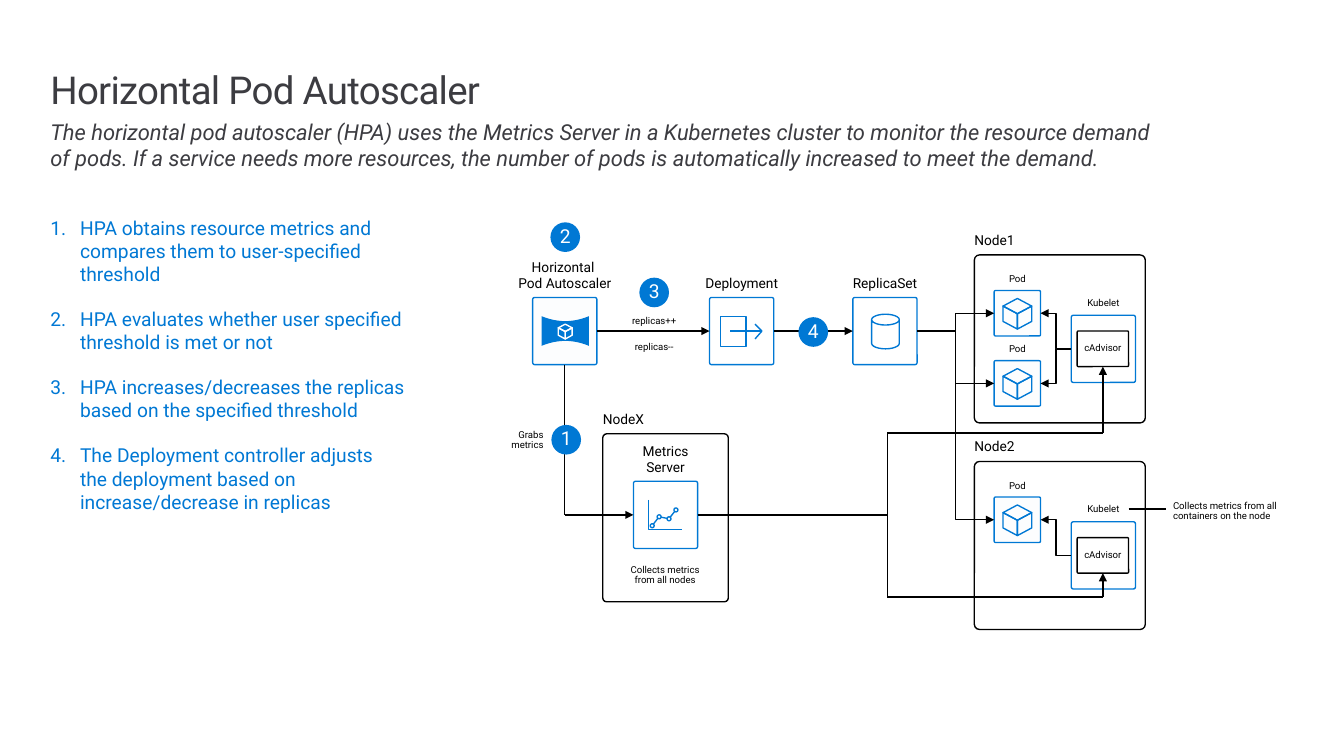
from itertools import pairwise

from lxml import etree
from pptx import Presentation
from pptx.dml.color import RGBColor
from pptx.enum.shapes import MSO_CONNECTOR, MSO_SHAPE
from pptx.enum.text import MSO_ANCHOR, MSO_AUTO_SIZE, PP_ALIGN
from pptx.oxml.ns import qn
from pptx.util import Inches, Pt

BLUE = RGBColor(0x00, 0x78, 0xD4)
BLACK = RGBColor(0x00, 0x00, 0x00)
WHITE = RGBColor(0xFF, 0xFF, 0xFF)
PALE = RGBColor(0xFC, 0xFD, 0xFE)
CHARCOAL = RGBColor(0x3C, 0x3C, 0x41)
FONT = "Roboto"
STRAIGHT, ELBOW = MSO_CONNECTOR.STRAIGHT, MSO_CONNECTOR.ELBOW
RECTANGLE, ROUNDED = MSO_SHAPE.RECTANGLE, MSO_SHAPE.ROUNDED_RECTANGLE
OVAL, CAN = MSO_SHAPE.OVAL, MSO_SHAPE.CAN
LEFT, CENTER, RIGHT = PP_ALIGN.LEFT, PP_ALIGN.CENTER, PP_ALIGN.RIGHT
ANCHOR_TOP, MIDDLE, BOTTOM = MSO_ANCHOR.TOP, MSO_ANCHOR.MIDDLE, MSO_ANCHOR.BOTTOM
NO_AUTOFIT = MSO_AUTO_SIZE.NONE
TOP_SIDE, LEFT_SIDE, BOTTOM_SIDE, RIGHT_SIDE = range(4)
TILE_WIDTH, TILE_HEIGHT = 0.65, 0.68
STEPS = [
    "HPA obtains resource metrics and compares them to user-specified threshold",
    "HPA evaluates whether user specified threshold is met or not",
    "HPA increases/decreases the replicas based on the specified threshold",
    "The Deployment controller adjusts \vthe deployment based on increase/decrease in replicas",
]


def place(shape, left, top, width, height):
    shape.left, shape.top = Inches(left), Inches(top)
    shape.width, shape.height = Inches(width), Inches(height)


def write(shape, text, size, color, align=LEFT, anchor=ANCHOR_TOP, spacing=1.0):
    frame = shape.text_frame
    frame.word_wrap = True
    frame.auto_size = NO_AUTOFIT
    frame.vertical_anchor = anchor
    frame.margin_left = frame.margin_right = frame.margin_top = frame.margin_bottom = 0
    frame.text = text
    for paragraph in frame.paragraphs:
        paragraph.alignment = align
        paragraph.line_spacing = spacing
        for run in paragraph.runs:
            run.font.name = FONT
            run.font.size = Pt(size)
            run.font.color.rgb = color
    return frame


def add_label(slide, left, top, width, height, text, size=10, align=LEFT, anchor=BOTTOM):
    box = slide.shapes.add_textbox(Inches(left), Inches(top), Inches(width), Inches(height))
    write(box, text, size, BLACK, align, anchor)


def add_note(slide, left, top, width, text, align=CENTER):
    box = slide.shapes.add_textbox(Inches(left), Inches(top), Inches(width), Inches(0.22))
    write(box, text, 7, BLACK, align, spacing=0.9)


def paint(shape, line=None, fill=None):
    shape.shadow.inherit = False
    if fill is None:
        shape.fill.background()
    else:
        shape.fill.solid()
        shape.fill.fore_color.rgb = fill
    if line is None:
        shape.line.fill.background()
    else:
        shape.line.color.rgb = line
        shape.line.width = Pt(1)


def add_box(slide, kind, left, top, width, height, line=None, fill=None):
    shape = slide.shapes.add_shape(
        kind, Inches(left), Inches(top), Inches(width), Inches(height))
    if kind == ROUNDED:
        shape.adjustments[0] = 0.031
    paint(shape, line, fill)
    return shape


def add_outline(slide, left, top, contours, line=None, fill=None, close=False):
    paths = [[(Inches(left + x), Inches(top + y)) for x, y in contour] for contour in contours]
    builder = slide.shapes.build_freeform(*paths[0][0])
    for index, points in enumerate(paths):
        if index:
            builder.move_to(*points[0])
        builder.add_line_segments(points[1:], close=close)
    paint(builder.convert_to_shape(), line, fill)


def add_line(slide, kind, start, end, arrow=True):
    connector = slide.shapes.add_connector(kind, *start, *end)
    connector.line.color.rgb = BLACK
    connector.line.width = Pt(1)
    properties = connector._element.spPr
    if arrow:
        etree.SubElement(properties.find(qn("a:ln")), qn("a:tailEnd"), type="triangle")
    etree.SubElement(properties, qn("a:effectLst"))
    return connector


def side_point(shape, side):
    x = shape.left + {LEFT_SIDE: 0, RIGHT_SIDE: shape.width}.get(side, shape.width // 2)
    y = shape.top + {TOP_SIDE: 0, BOTTOM_SIDE: shape.height}.get(side, shape.height // 2)
    return x, y


def route(slide, begin, end, corners=(), kind=STRAIGHT):
    points = [side_point(*begin), *corners, side_point(*end)]
    last = len(points) - 2
    for index, (start, finish) in enumerate(pairwise(points)):
        connector = add_line(slide, kind, start, finish, index == last)
        if index == 0:
            connector.begin_connect(*begin)
        if index == last:
            connector.end_connect(*end)


def add_cube(slide, left, top, width, height, color):
    middle, upper, center, lower = width / 2, height / 4, height / 2, height * 3 / 4
    faces = [
        [(width, upper), (width, lower), (middle, height), (middle, center)],
        [(0, upper), (middle, center), (middle, height), (0, lower)],
        [(middle, 0), (width, upper), (middle, center), (0, upper)],
    ]
    add_outline(slide, left, top, faces, line=color, close=True)


def add_autoscaler_icon(slide, left, top):
    width, height, dip, steps = 0.48, 0.3, 0.05, 12
    curve = [(width * i / steps, dip * (1 - (2 * i / steps - 1) ** 2)) for i in range(steps + 1)]
    ribbon = curve + [(x, height - y) for x, y in reversed(curve)]
    add_outline(slide, left + 0.09, top + 0.19, [ribbon], fill=BLUE, close=True)
    add_cube(slide, left + 0.26, top + 0.27, 0.14, 0.15, WHITE)


def add_deployment_icon(slide, left, top):
    add_box(slide, RECTANGLE, left + 0.11, top + 0.19, 0.26, 0.31, BLUE)
    arrow = [[(0.21, 0.34), (0.53, 0.34)], [(0.46, 0.27), (0.53, 0.34), (0.46, 0.42)]]
    add_outline(slide, left, top, arrow, line=BLUE)


def add_replica_icon(slide, left, top):
    cylinder = add_box(slide, CAN, left + 0.19, top + 0.17, 0.28, 0.35, BLUE)
    cylinder.adjustments[0] = 0.39


def add_metrics_icon(slide, left, top):
    readings = [(0.19, 0.45), (0.26, 0.36), (0.36, 0.38), (0.43, 0.29)]
    axes = [(0.15, 0.19), (0.15, 0.49), (0.49, 0.49)]
    add_outline(slide, left, top, [axes, readings], line=BLUE)
    for x, y in readings:
        add_box(slide, OVAL, left + x - 0.02, top + y - 0.02, 0.04, 0.04, BLUE, WHITE)


def add_tile(slide, left, top, caption, add_icon, fill=None):
    tile = add_box(slide, ROUNDED, left, top, TILE_WIDTH, TILE_HEIGHT, BLUE, fill)
    add_label(slide, left - 0.18, top - 0.4, 1.01, 0.34, caption, align=CENTER)
    add_icon(slide, left, top)
    return tile


def add_frame(slide, left, top, width, name):
    add_box(slide, ROUNDED, left, top, width, 1.7, BLACK)
    add_label(slide, left, top - 0.24, 1.01, 0.17, name)


def add_pod(slide, left, top):
    add_label(slide, left + 0.04, top - 0.18, 0.39, 0.12, "Pod", 7, CENTER)
    pod = add_box(slide, ROUNDED, left, top, 0.47, 0.46, BLUE, PALE)
    add_cube(slide, left + 0.09, top + 0.08, 0.29, 0.31, BLUE)
    return pod


def add_worker_node(slide, left, top, name, pod_offsets, replica_set):
    add_frame(slide, left, top, 1.73, name)
    kubelet = add_box(slide, ROUNDED, left + 0.98, top + 0.61, TILE_WIDTH, TILE_HEIGHT, BLUE)
    add_label(slide, left + 1.03, top + 0.42, 0.55, 0.12, "Kubelet", 7, CENTER)
    advisor = add_box(slide, ROUNDED, left + 1.04, top + 0.77, 0.52, 0.36, BLACK, WHITE)
    write(advisor, "cAdvisor", 7, BLACK, CENTER, MIDDLE, 0.9)
    for offset in pod_offsets:
        pod = add_pod(slide, left + 0.2, top + offset)
        route(slide, (kubelet, LEFT_SIDE), (pod, RIGHT_SIDE), kind=ELBOW)
        route(slide, (replica_set, RIGHT_SIDE), (pod, LEFT_SIDE), kind=ELBOW)
    return advisor


def add_diagram(slide, left, top):
    row = top + 0.76
    autoscaler = add_tile(
        slide, left + 0.24, row, "Horizontal \vPod Autoscaler", add_autoscaler_icon, PALE)
    deployment = add_tile(slide, left + 2.03, row, "Deployment", add_deployment_icon)
    replica_set = add_tile(slide, left + 3.48, row, "ReplicaSet", add_replica_icon)
    add_frame(slide, left + 0.95, top + 2.14, 1.27, "NodeX")
    metrics = add_tile(slide, left + 1.26, top + 2.62, "Metrics\vServer", add_metrics_icon)

    route(slide, (autoscaler, RIGHT_SIDE), (deployment, LEFT_SIDE))
    route(slide, (deployment, RIGHT_SIDE), (replica_set, LEFT_SIDE))
    metrics_level = side_point(metrics, LEFT_SIDE)[1]
    corner = (side_point(autoscaler, BOTTOM_SIDE)[0], metrics_level)
    route(slide, (autoscaler, BOTTOM_SIDE), (metrics, LEFT_SIDE), [corner])

    trunk = Inches(left + 3.83)
    nodes = [("Node1", 0.33, [0.36, 1.07], 2.13), ("Node2", 2.42, [0.36], 3.79)]
    for name, node_top, pod_offsets, feed in nodes:
        advisor = add_worker_node(slide, left + 4.71, top + node_top, name, pod_offsets, replica_set)
        level = Inches(top + feed)
        corners = [(trunk, metrics_level), (trunk, level),
                   (side_point(advisor, BOTTOM_SIDE)[0], level)]
        route(slide, (metrics, RIGHT_SIDE), (advisor, BOTTOM_SIDE), corners)

    callout = Inches(top + 2.9)
    add_line(slide, STRAIGHT, (Inches(left + 6.27), callout), (Inches(left + 6.65), callout), False)
    add_note(slide, left + 6.72, top + 2.82, 1.15,
             "Collects metrics from all containers on the node", LEFT)
    add_note(slide, left + 1.2, top + 3.47, 0.76, "Collects metrics from all nodes")
    add_note(slide, left - 0.05, top + 2.1, 0.4, "Grabs\vmetrics", RIGHT)
    add_note(slide, left + 1.2, top + 0.95, 0.54, "replicas++")
    add_note(slide, left + 1.2, top + 1.21, 0.54, "replicas--")
    badges = [(0.43, 2.05), (0.42, 0), (1.32, 0.56), (2.93, 0.96)]
    for number, (x, y) in enumerate(badges, 1):
        badge = add_box(slide, OVAL, left + x, top + y, 0.3, 0.3, fill=BLUE)
        write(badge, str(number), 14, WHITE, CENTER, MIDDLE, 0.9)


def add_header(slide, left, top):
    title = slide.shapes.title
    place(title, left, top, 12.9, 0.45)
    frame = write(title, "Horizontal Pod Autoscaler", 28, CHARCOAL, spacing=Pt(32))
    frame.paragraphs[0].runs[0].font._element.set("spc", "-50")
    summary = slide.shapes.add_textbox(
        Inches(left), Inches(top + 0.51), Inches(12.4), Inches(0.54))
    frame = write(
        summary,
        "The horizontal pod autoscaler (HPA) uses the Metrics Server in a Kubernetes cluster "
        "to monitor the resource demand \vof pods. If a service needs more resources, "
        "the number of pods is automatically increased to meet the demand.",
        16, CHARCOAL)
    for run in frame.paragraphs[0].runs:
        run.font.italic = True


def add_steps(slide, left, top):
    body = slide.placeholders[1]
    place(body, left, top, 3.75, 3)
    frame = write(body, "\n".join(STEPS), 14, BLUE)
    for index, paragraph in enumerate(frame.paragraphs):
        properties = paragraph._p.get_or_add_pPr()
        properties.set("marL", str(Inches(0.3)))
        properties.set("indent", str(Inches(-0.3)))
        etree.SubElement(properties, qn("a:buAutoNum"), type="arabicPeriod")
        paragraph.space_before = Pt(16 if index else 0)


def main():
    presentation = Presentation()
    presentation.slide_width, presentation.slide_height = Inches(13.6), Inches(7.65)
    slide = presentation.slides.add_slide(presentation.slide_layouts[1])
    add_header(slide, 0.51, 0.69)
    add_steps(slide, 0.51, 2.19)
    add_diagram(slide, 5.15, 2.25)
    presentation.save("out.pptx")


if __name__ == "__main__":
    main()
